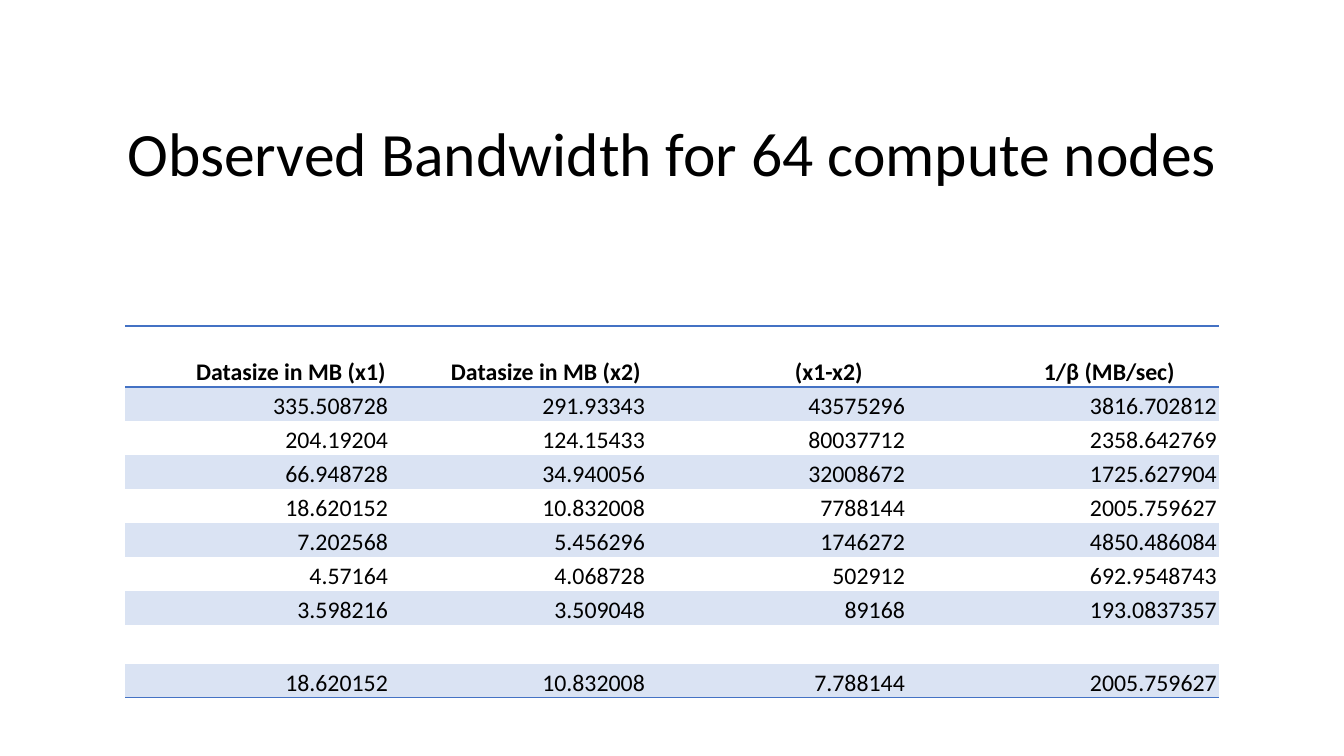
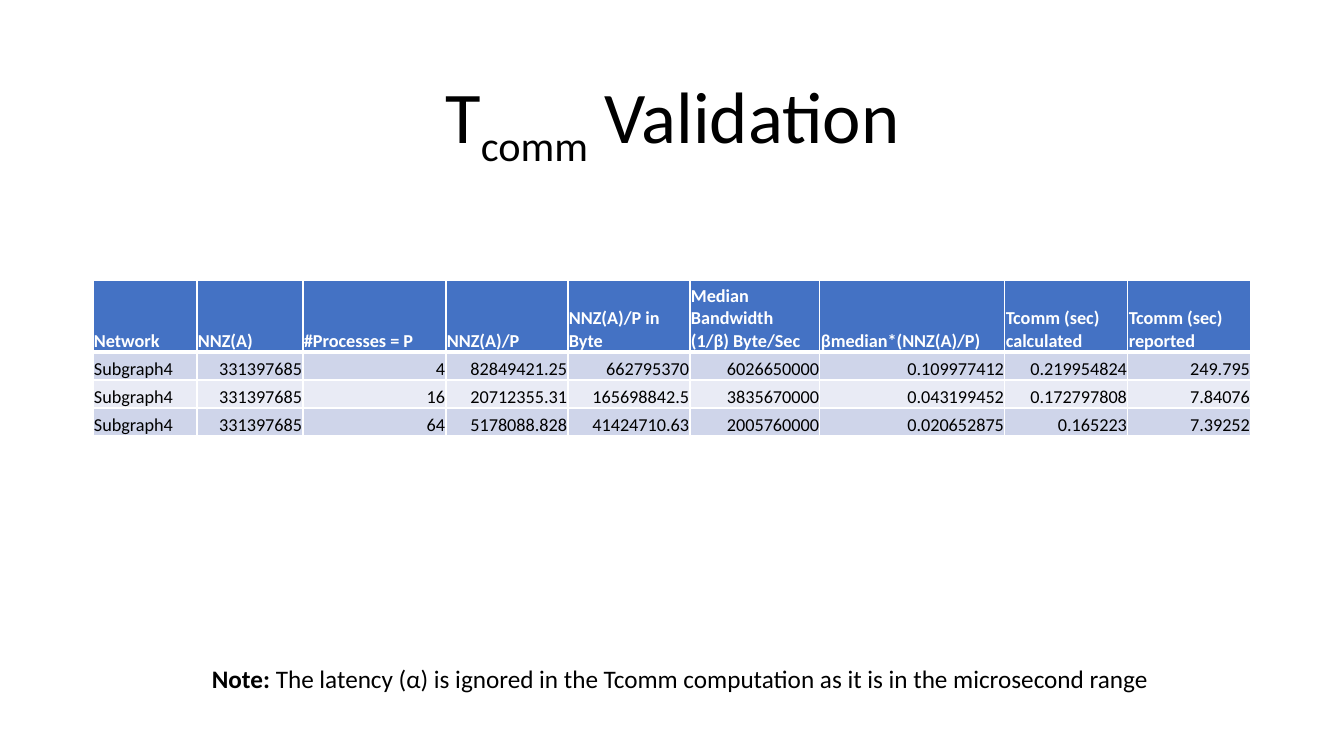
from lxml import etree
from pptx import Presentation
from pptx import util as u
from pptx.dml import color
from pptx.enum import text
from pptx.oxml import ns

FONT = "Calibri"
BLACK, WHITE, BLUE = "000000", "FFFFFF", "4472C4"
NO_STYLE = "{2D5ABB26-0587-4C30-8999-92F81FD0307C}"


def px(count):
    return u.Emu(round(count * 914400 / 100.8))


def style(span, size, colour, bold=False):
    span.font.name = FONT
    span.font.size = u.Pt(size)
    span.font.bold = bold
    span.font.color.rgb = color.RGBColor.from_string(colour)


white_grid = {"L": (WHITE, 1), "R": (WHITE, 1), "B": (WHITE, 1)}

pages = [
    {
        "title": [("Observed Bandwidth for 64 compute nodes", 0)],
        "title_size": 44,
        "title_box": (93, 52, 1159, 143),
        "corner": (125, 326),
        "columns": [265, 257, 260, 312],
        "heights": [61] + [34] * 7 + [39, 34],
        "size": 17,
        "inset": 2,
        "header_indents": [71, 61, 148, 137],
        "header_colours": (BLACK, WHITE),
        "bands": ("DAE3F3", WHITE),
        "left_columns": 0,
        "header_edges": {"T": (BLUE, 1), "B": (BLUE, 1)},
        "body_edges": {},
        "last_edges": {"B": (BLUE, 1)},
        "rows": [
            ["Datasize in MB (x1)", "Datasize in MB (x2)", "(x1-x2)", "1/β (MB/sec)"],
            ["335.508728", "291.93343", "43575296", "3816.702812"],
            ["204.19204", "124.15433", "80037712", "2358.642769"],
            ["66.948728", "34.940056", "32008672", "1725.627904"],
            ["18.620152", "10.832008", "7788144", "2005.759627"],
            ["7.202568", "5.456296", "1746272", "4850.486084"],
            ["4.57164", "4.068728", "502912", "692.9548743"],
            ["3.598216", "3.509048", "89168", "193.0837357"],
            [""] * 4,
            ["18.620152", "10.832008", "7.788144", "2005.759627"],
        ],
        "note": [],
    },
    {
        "title": [("T", 0), ("comm", -25000), (" Validation", 0)],
        "title_size": 52,
        "title_box": (93, 61, 1159, 105),
        "corner": (93, 280),
        "columns": [104, 106, 143, 122, 122, 130, 185, 123, 123],
        "heights": [72, 28, 28, 28],
        "size": 13,
        "inset": 1,
        "header_indents": [1] * 9,
        "header_colours": (WHITE, BLUE),
        "bands": ("CFD5EA", "E9EBF5"),
        "left_columns": 1,
        "header_edges": {**white_grid, "T": (WHITE, 1), "B": (WHITE, 3)},
        "body_edges": white_grid,
        "last_edges": white_grid,
        "rows": [
            ["Network", "NNZ(A)", "#Processes = P", "NNZ(A)/P", "NNZ(A)/P in Byte",
             "Median Bandwidth \v(1/β) Byte/Sec", "βmedian*(NNZ(A)/P)",
             "Tcomm (sec) calculated", "Tcomm (sec) reported"],
            ["Subgraph4", "331397685", "4", "82849421.25", "662795370",
             "6026650000", "0.109977412", "0.219954824", "249.795"],
            ["Subgraph4", "331397685", "16", "20712355.31", "165698842.5",
             "3835670000", "0.043199452", "0.172797808", "7.84076"],
            ["Subgraph4", "331397685", "64", "5178088.828", "41424710.63",
             "2005760000", "0.020652875", "0.165223", "7.39252"],
        ],
        "note": [
            ("Note:", True),
            (" The latency (α) is ignored in the Tcomm computation"
             " as it is in the microsecond range", False),
        ],
    },
]

deck = Presentation()
deck.slide_width, deck.slide_height = px(1344), px(756)

for plan in pages:
    page = deck.slides.add_slide(deck.slide_layouts[6])

    title = page.shapes.add_textbox(*map(px, plan["title_box"])).text_frame
    title.word_wrap = True
    title.vertical_anchor = text.MSO_ANCHOR.BOTTOM
    para = title.paragraphs[0]
    para.alignment = text.PP_ALIGN.CENTER
    para.line_spacing = 0.9
    for words, baseline in plan["title"]:
        span = para.add_run()
        span.text = words
        style(span, plan["title_size"], BLACK)
        if baseline:
            span._r.get_or_add_rPr().set("baseline", str(baseline))

    columns, heights, rows = plan["columns"], plan["heights"], plan["rows"]
    left, top = plan["corner"]
    frame = page.shapes.add_table(len(rows), len(columns), px(left), px(top),
                                  px(sum(columns)), px(sum(heights)))
    table = frame.table
    table.horz_banding = False
    table._tbl.tblPr.find(ns.qn("a:tableStyleId")).text = NO_STYLE
    for column, width in zip(table.columns, columns):
        column.width = px(width)
    for row, height in zip(table.rows, heights):
        row.height = px(height)

    for r, values in enumerate(rows):
        header = r == 0
        if header:
            ink, fill = plan["header_colours"]
            edges = plan["header_edges"]
        else:
            ink, fill = BLACK, plan["bands"][(r - 1) % 2]
            edges = plan["last_edges" if r == len(rows) - 1 else "body_edges"]
        for c, value in enumerate(values):
            cell = table.cell(r, c)
            cell.vertical_anchor = text.MSO_ANCHOR.BOTTOM
            cell.margin_left = px(plan["header_indents"][c] if header else plan["inset"])
            cell.margin_right = cell.margin_top = px(plan["inset"])
            cell.margin_bottom = 0
            for side in "LRTB":
                if side in edges:
                    colour, weight = edges[side]
                    line = etree.SubElement(cell._tc.get_or_add_tcPr(),
                                            ns.qn("a:ln" + side), w=str(u.Pt(weight)))
                    solid = etree.SubElement(line, ns.qn("a:solidFill"))
                    etree.SubElement(solid, ns.qn("a:srgbClr"), val=colour)
            cell.fill.solid()
            cell.fill.fore_color.rgb = color.RGBColor.from_string(fill)
            para = cell.text_frame.paragraphs[0]
            para.text = value
            if not header and c >= plan["left_columns"]:
                para.alignment = text.PP_ALIGN.RIGHT
            for span in para.runs:
                style(span, plan["size"], ink, header)

    if plan["note"]:
        note = page.shapes.add_textbox(px(202), px(658), px(1050), px(40)).text_frame
        note.word_wrap = True
        for words, bold in plan["note"]:
            span = note.paragraphs[0].add_run()
            span.text = words
            style(span, 18, BLACK, bold)

deck.save("out.pptx")
